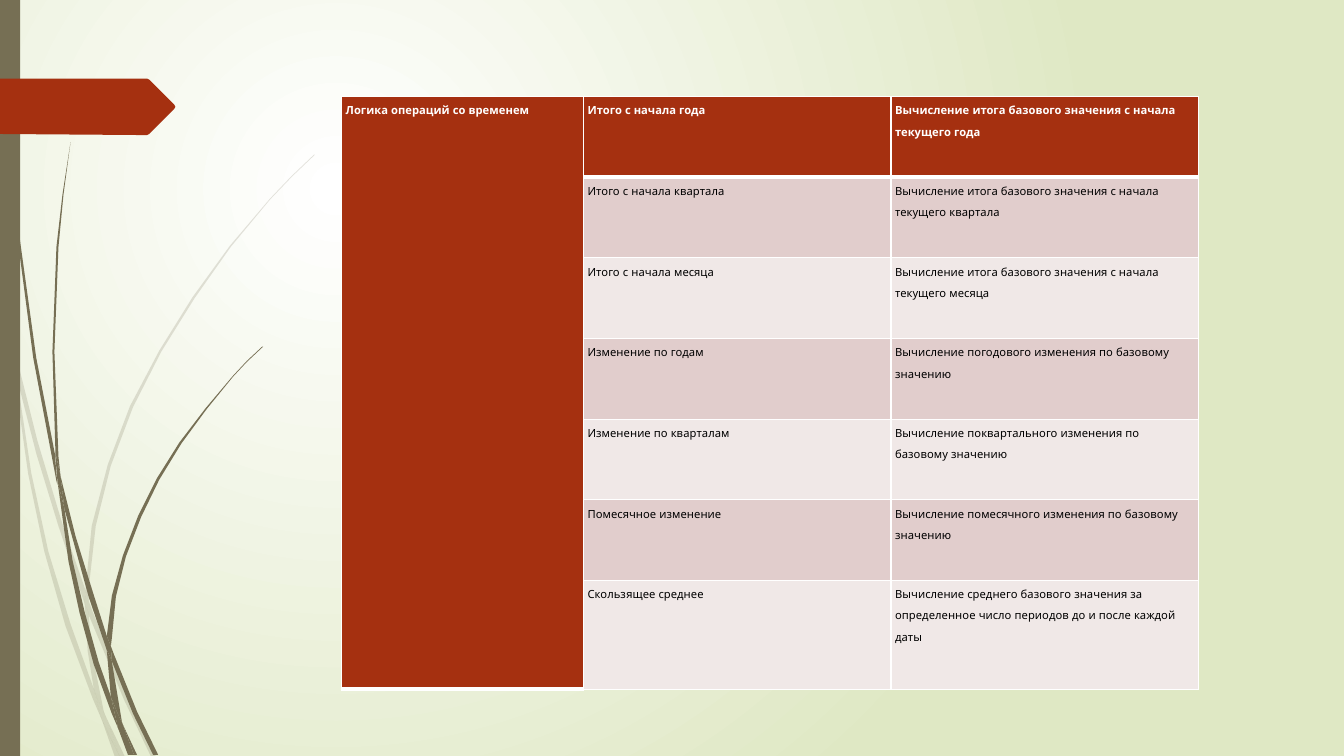
from lxml import etree
from pptx import Presentation
from pptx.dml.color import RGBColor
from pptx.enum.shapes import MSO_SHAPE
from pptx.oxml.ns import qn
from pptx.util import Pt

RECTANGLE = MSO_SHAPE.RECTANGLE
WHITE = RGBColor(0xFF, 0xFF, 0xFF)
BLACK = RGBColor(0, 0, 0)
SAGE = RGBColor(0xDF, 0xE8, 0xC4)
OLIVE = RGBColor(0x76, 0x6F, 0x54)
RUST = RGBColor(0xA5, 0x30, 0x10)
ROSE = RGBColor(0xE1, 0xCD, 0xCC)
BLUSH = RGBColor(0xF0, 0xE8, 0xE7)

# Outline points are in hundredths of an inch
OUTLINE_UNIT = Pt(0.72)
FAINT_BLADES = [
    [(11, 350), (9, 322), (0, 282), (0, 299), (10, 344)],
    [(58, 522), (84, 599), (85, 586), (62, 520), (37, 437), (14, 345), (17, 376), (36, 450)],
    [(92, 607), (88, 596), (88, 610), (123, 694), (150, 751), (155, 751), (127, 692)],
    [(119, 751), (124, 751), (105, 711)],
    [(93, 683), (70, 619), (48, 547), (31, 469), (17, 376), (11, 350), (28, 470), (44, 547),
     (65, 621), (92, 693), (101, 714), (99, 707)],
    [(84, 599), (87, 646), (93, 683), (96, 692), (105, 711), (103, 706), (91, 646), (88, 610),
     (88, 608)],
    [(88, 584), (95, 522), (110, 462), (132, 404), (160, 349), (193, 296), (229, 245),
     (268, 198), (290, 175), (312, 154), (312, 153), (289, 175), (268, 197), (228, 244),
     (191, 295), (158, 348), (129, 403), (107, 461), (91, 522), (85, 584), (85, 586), (88, 596)],
    [(101, 714), (114, 751), (119, 751)],
    [(88, 608), (88, 610), (88, 596), (85, 586), (84, 599)],
    [(96, 692), (93, 683), (99, 707), (101, 714), (119, 751), (105, 711)],
]
DARK_BLADES = [
    [(7, 110), (17, 233), (33, 355), (56, 477), (57, 481), (55, 457), (55, 453), (36, 355),
     (19, 232), (8, 109), (5, 48), (4, 0), (3, 0), (4, 48)],
    [(88, 592), (106, 645), (106, 633), (106, 631), (93, 590), (75, 532), (60, 472), (64, 505)],
    [(113, 649), (110, 641), (111, 656), (132, 708), (152, 749), (157, 749), (136, 706)],
    [(110, 691), (98, 657), (84, 607), (72, 556), (64, 505), (57, 477), (68, 557), (79, 608),
     (93, 659), (111, 708), (117, 722), (116, 717)],
    [(60, 472), (58, 453), (54, 349), (58, 245), (63, 193), (70, 141), (62, 193), (56, 245),
     (52, 349), (55, 449)],
    [(133, 749), (136, 749), (122, 719)],
    [(57, 477), (64, 505), (60, 472), (55, 449), (55, 453)],
    [(111, 633), (115, 592), (125, 552), (140, 513), (158, 476), (180, 440), (205, 406),
     (231, 374), (245, 359), (261, 344), (260, 344), (245, 358), (231, 373), (204, 405),
     (178, 439), (156, 474), (137, 512), (122, 551), (111, 591), (106, 631), (110, 641)],
    [(117, 722), (127, 749), (131, 749)],
    [(106, 645), (110, 691), (116, 706), (122, 719), (121, 716), (111, 656), (109, 651)],
    [(106, 645), (109, 651), (111, 656), (110, 641), (106, 631), (106, 633)],
    [(116, 706), (110, 691), (116, 717), (117, 722), (130, 749), (133, 749), (122, 719)],
]
TAG = [(173, 108), (148, 133), (146, 134), (136, 134), (0, 133), (0, 78), (136, 78), (146, 78),
       (148, 79), (173, 104), (174, 106)]

TIME_LOGIC = [
    ("Итого с начала года", "Вычисление итога базового значения с начала текущего года"),
    ("Итого с начала квартала", "Вычисление итога базового значения с начала текущего квартала"),
    ("Итого с начала месяца", "Вычисление итога базового значения с начала текущего месяца"),
    ("Изменение по годам", "Вычисление погодового изменения по базовому значению"),
    ("Изменение по кварталам", "Вычисление поквартального изменения по базовому значению"),
    ("Помесячное изменение", "Вычисление помесячного изменения по базовому значению"),
    ("Скользящее среднее", "Вычисление среднего базового значения за определенное число "
                           "периодов до и после каждой даты"),
]
COLUMN_WIDTHS = [172.8, 219.6, 219.6]
ROW_HEIGHTS = [57.6] * 6 + [77.76]


def paint(shape, color):
    shape.shadow.inherit = False
    shape.fill.solid()
    shape.fill.fore_color.rgb = color
    shape.line.fill.background()


def draw_outline(shapes, points, color):
    builder = shapes.build_freeform(*points[0], scale=OUTLINE_UNIT)
    builder.add_line_segments(points[1:], close=True)
    shape = builder.convert_to_shape()
    paint(shape, color)
    return shape


deck = Presentation()
deck.slide_width, deck.slide_height = Pt(960), Pt(540)
page = deck.slides.add_slide(deck.slide_layouts[6])

# Radial background
backdrop = page.background.fill
backdrop.gradient()
for stop, color in zip(backdrop.gradient_stops, (WHITE, SAGE)):
    stop.color.rgb = color
gradient = page.element.find(".//" + qn("a:gradFill"))
gradient.remove(gradient.find(qn("a:lin")))
circle = etree.SubElement(gradient, qn("a:path"), path="circle")
etree.SubElement(circle, qn("a:fillToRect"), l="50000", t="50000", r="100000", b="100000")

# Grass, side bar and tag
faint_grass = page.shapes.add_group_shape()
for blade in FAINT_BLADES:
    shape = draw_outline(faint_grass.shapes, blade, OLIVE)
    tint = shape.element.find(".//" + qn("a:srgbClr"))
    etree.SubElement(tint, qn("a:alpha"), val="20000")
dark_grass = page.shapes.add_group_shape()
for blade in DARK_BLADES:
    draw_outline(dark_grass.shapes, blade, OLIVE)
side_bar = page.shapes.add_shape(RECTANGLE, 0, 0, Pt(14.4), Pt(540))
paint(side_bar, OLIVE)
draw_outline(page.shapes, TAG, RUST)

# Table
table = page.shapes.add_table(len(ROW_HEIGHTS), len(COLUMN_WIDTHS), Pt(244.1), Pt(69),
                              Pt(sum(COLUMN_WIDTHS)), Pt(sum(ROW_HEIGHTS))).table
for column, width in zip(table.columns, COLUMN_WIDTHS):
    column.width = Pt(width)
for row, height in zip(table.rows, ROW_HEIGHTS):
    row.height = Pt(height)
table.cell(0, 0).merge(table.cell(len(ROW_HEIGHTS) - 1, 0))

for row_index, texts in enumerate(TIME_LOGIC):
    is_header = row_index == 0
    row_fill = RUST if is_header else (ROSE if row_index % 2 else BLUSH)
    for column_index, text in enumerate(("Логика операций со временем", *texts)):
        cell = table.cell(row_index, column_index)
        if cell.is_spanned:
            continue
        cell.margin_left = cell.margin_right = Pt(2.88)
        cell.margin_top = cell.margin_bottom = 0
        cell.text = text
        para = cell.text_frame.paragraphs[0]
        para.line_spacing = 1.5
        para.font.size = Pt(8)
        para.font.name = "Quicksand"
        para.font.bold = is_header
        para.font.color.rgb = WHITE if is_header else BLACK
        properties = cell._tc.get_or_add_tcPr()
        for side in ("lnL", "lnR", "lnT", "lnB"):
            thick = (is_header and side == "lnB") or (row_index == 1 and side == "lnT")
            border = etree.SubElement(properties, qn("a:" + side), w=str(Pt(3 if thick else 1)))
            border_fill = etree.SubElement(border, qn("a:solidFill"))
            etree.SubElement(border_fill, qn("a:srgbClr"), val=str(WHITE))
        cell.fill.solid()
        cell.fill.fore_color.rgb = row_fill

deck.save("out.pptx")
